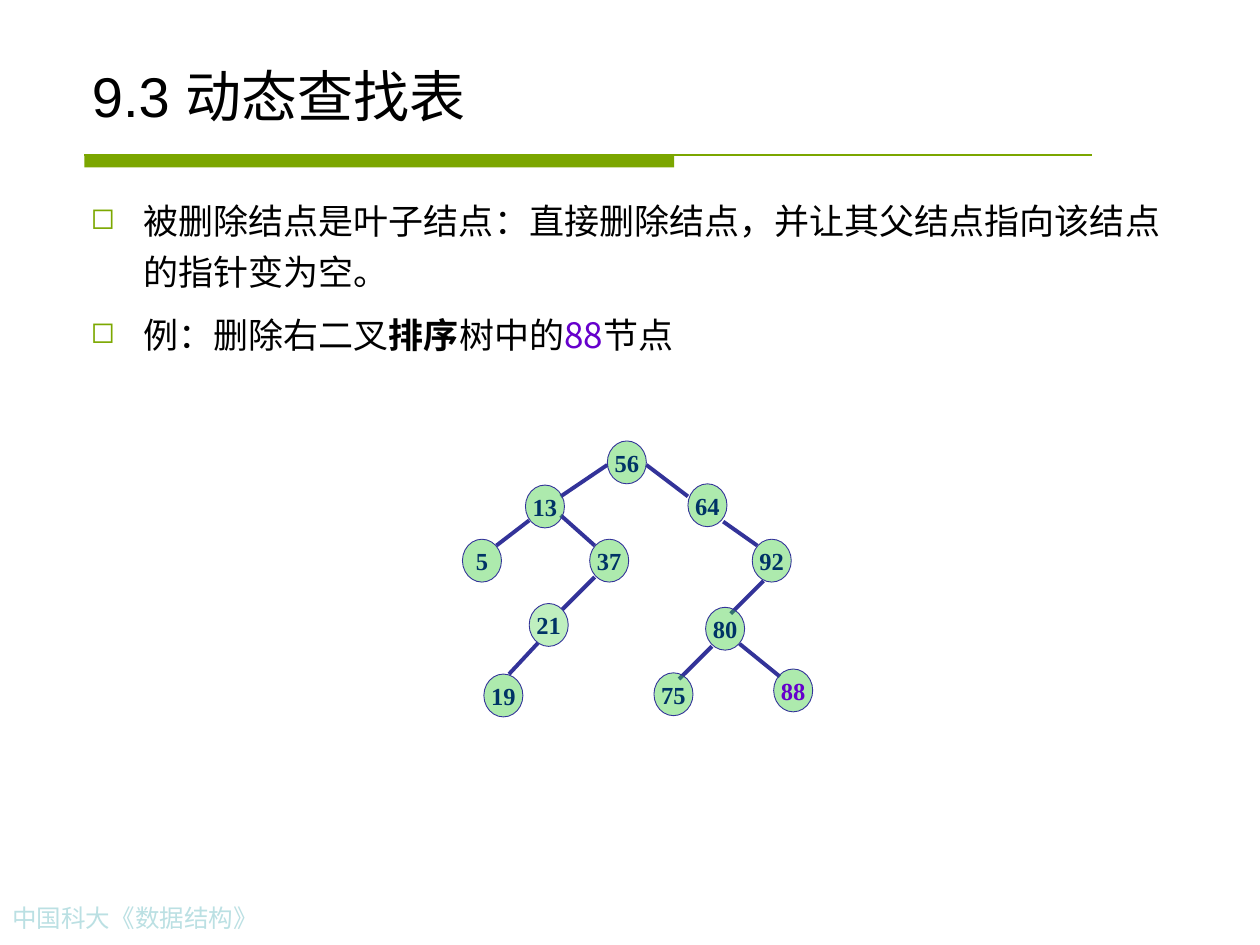
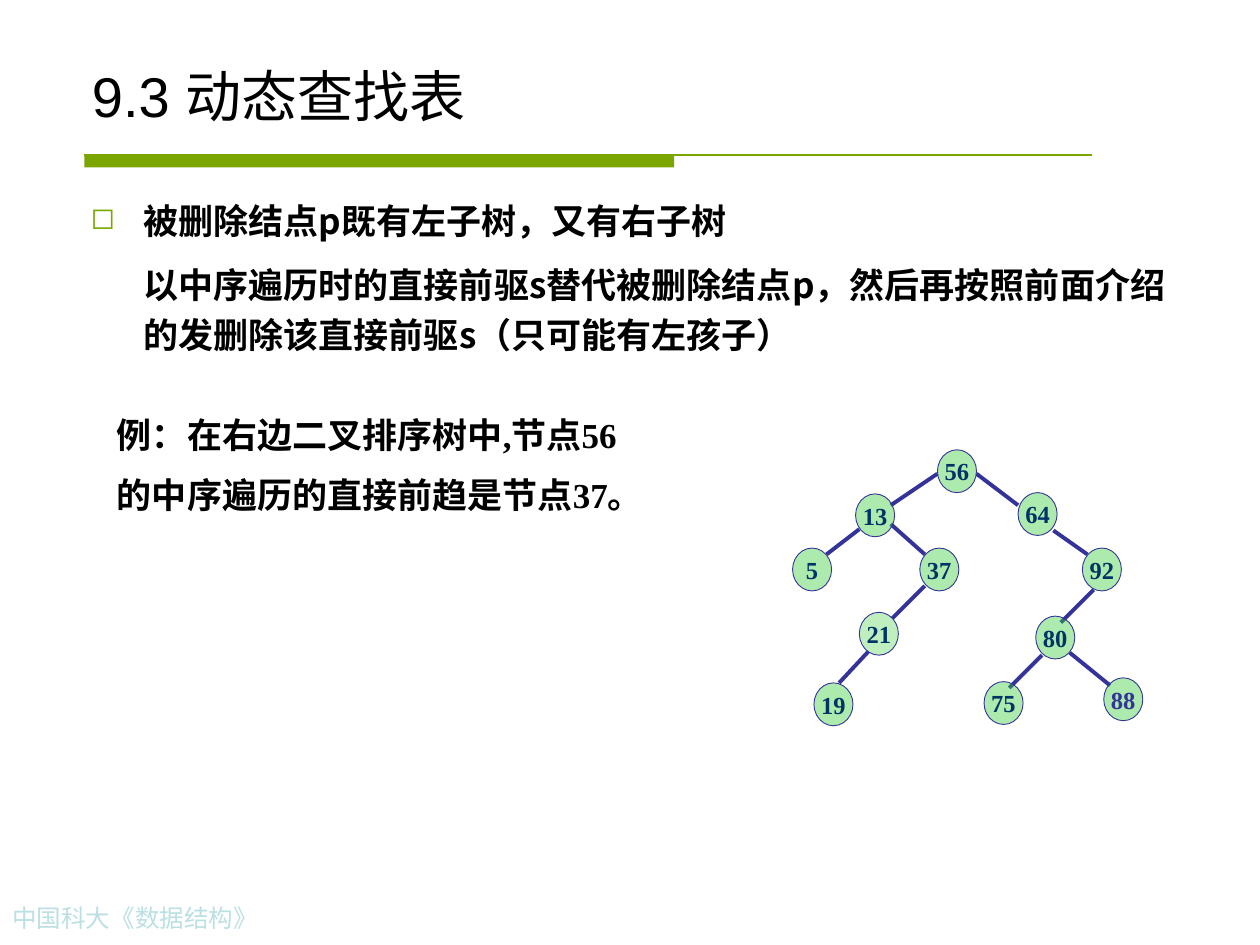
from lxml import etree
from pptx import Presentation
from pptx import util as u
from pptx.dml.color import RGBColor
from pptx.enum import shapes, text
from pptx.oxml import ns

COLOURS = {
    "black": "000000", "band": "7BA600", "bullet": "7CA800", "footer": "BBE0E3",
    "node": "33CC33", "pale node": "BFEFBF", "edge": "333399",
    "key": "003366", "purple": "6600CC",
}
CJK = "Noto Sans CJK SC"
NODE_WIDTH, NODE_HEIGHT = 0.31, 0.34

# Left and top of every key's node, and the ends of every edge
NODES = {
    "56": (4.82, 3.5), "64": (5.46, 3.84), "5": (3.67, 4.28), "92": (5.97, 4.28),
    "37": (4.68, 4.28), "88": (6.14, 5.31), "19": (3.84, 5.35), "80": (5.6, 4.82),
    "21": (4.2, 4.79), "13": (4.17, 3.85), "75": (5.19, 5.34),
}
EDGES = [
    (4.82, 3.69, 4.45, 3.94), (4.2, 4.13, 3.94, 4.33), (5.13, 3.69, 5.46, 3.94),
    (4.45, 4.09, 4.72, 4.33), (4.72, 4.58, 4.39, 4.91), (5.74, 4.14, 6.01, 4.33),
    (6.06, 4.61, 5.8, 4.87), (4.31, 5.06, 4.04, 5.35), (5.65, 5.13, 5.39, 5.39),
    (5.87, 5.11, 6.19, 5.37),
]

# Text boxes hold paragraphs; a paragraph is a list of (text, format changes)
PAGES = [
    {
        "boxes": [
            {"at": (0.62, 1.47, 8.75, 5.43), "bullets": 2, "before": 7.5,
             "format": {"font": CJK},
             "paragraphs": [
                 [("被删除结点是叶子结点：直接删除结点，并让其父结点指向该结点的指针变为空。", {})],
                 [("例：删除右二叉", {}), ("排序", {"font": "Arial", "bold": True}),
                  ("树中的", {}), ("88", {"colour": "purple"}), ("节点", {})],
             ]},
        ],
        "tree offset": (0, 0), "88 colour": "purple",
    },
    {
        "boxes": [
            {"at": (0.62, 1.47, 8.75, 1.62), "bullets": 1, "before": 7.5,
             "format": {"font": CJK, "bold": True},
             "paragraphs": [
                 [("被删除结点p既有左子树，又有右子树", {})],
                 [("以中序遍历时的直接前驱s替代被删除结点p，然后再按照前面介绍的发删除该直接前驱s（只可能有左孩子）", {})],
             ]},
            {"at": (0.83, 3.17, 4.42, 0.97), "bullets": 0, "before": 5,
             "format": {"font": "Times New Roman", "bold": True},
             "paragraphs": [
                 [("例：在右边二叉排序树中,节点56", {})],
                 [("的中序遍历的直接前趋是节点37。", {})],
             ]},
        ],
        "tree offset": (2.62, 0.07), "88 colour": "edge",
    },
]


def rgb(name):
    return RGBColor.from_string(COLOURS[name])


def add_span(para, words, size=20, font="Arial", colour="black", bold=False):
    """Append a run, with one font for Latin and the CJK font for Chinese."""
    span = para.add_run()
    span.text = words
    span.font.size = u.Pt(size)
    span.font.name = font
    span.font.bold = bold
    span.font.color.rgb = rgb(colour)
    latin = span.font._element.find(ns.qn("a:latin"))
    east_asian = etree.Element(ns.qn("a:ea"), typeface=CJK)
    latin.addnext(east_asian)


deck = Presentation()
deck.slide_width, deck.slide_height = u.Inches(10), u.Inches(7.5)

for content in PAGES:
    page = deck.slides.add_slide(deck.slide_layouts[5])

    # Title, green band and footer
    title = page.shapes.title
    title.left, title.top = u.Inches(0.63), u.Inches(0.33)
    title.width, title.height = u.Inches(8.75), u.Inches(0.74)
    frame = title.text_frame
    frame.auto_size = text.MSO_AUTO_SIZE.NONE
    frame.vertical_anchor = text.MSO_ANCHOR.BOTTOM
    frame.paragraphs[0].alignment = text.PP_ALIGN.LEFT
    add_span(frame.paragraphs[0], "9.3 动态查找表", size=32)

    band = page.shapes.add_shape(shapes.MSO_SHAPE.RECTANGLE, u.Inches(0.67),
                                 u.Inches(1.23), u.Inches(4.68), u.Inches(0.1))
    band.shadow.inherit = False
    band.fill.solid()
    band.fill.fore_color.rgb = rgb("band")
    band.line.fill.background()

    footer = page.shapes.add_textbox(u.Inches(0), u.Inches(7.12),
                                     u.Inches(3.11), u.Inches(0.34))
    footer.text_frame.word_wrap = True
    add_span(footer.text_frame.paragraphs[0], "中国科大《数据结构》", size=14,
             font="Times New Roman", colour="footer")

    for block in content["boxes"]:
        box = page.shapes.add_textbox(*map(u.Inches, block["at"]))
        frame = box.text_frame
        frame.word_wrap = True
        for index, spans in enumerate(block["paragraphs"]):
            para = frame.paragraphs[0] if index == 0 else frame.add_paragraph()
            para.line_spacing = 1.2
            para.space_before = u.Pt(block["before"] if index else 0)
            properties = para._p.get_or_add_pPr()
            if block["bullets"]:
                properties.set("marL", str(u.Inches(0.42)))
            if index < block["bullets"]:
                properties.set("indent", str(u.Inches(-0.42)))
                bullet_colour = etree.SubElement(properties, ns.qn("a:buClr"))
                etree.SubElement(bullet_colour, ns.qn("a:srgbClr"), val=COLOURS["bullet"])
                etree.SubElement(properties, ns.qn("a:buSzPct"), val="85000")
                etree.SubElement(properties, ns.qn("a:buChar"), char="◻")
            for words, changes in spans:
                add_span(para, words, **{**block["format"], **changes})

    # Rule beside the band, then the tree's edges
    shift_x, shift_y = content["tree offset"]
    lines = [((0.67, 1.23, 8.67, 1.23), "band", 0.75)]
    for x1, y1, x2, y2 in EDGES:
        ends = (x1 + shift_x, y1 + shift_y, x2 + shift_x, y2 + shift_y)
        lines.append((ends, "edge", 2.25))
    for ends, colour, weight in lines:
        line = page.shapes.add_connector(shapes.MSO_CONNECTOR.STRAIGHT,
                                         *map(u.Inches, ends))
        line.line.color.rgb = rgb(colour)
        line.line.width = u.Pt(weight)
        etree.SubElement(line._element.spPr, ns.qn("a:effectLst"))

    for key, (left, top) in NODES.items():
        node = page.shapes.add_shape(
            shapes.MSO_SHAPE.OVAL, u.Inches(left + shift_x), u.Inches(top + shift_y),
            u.Inches(NODE_WIDTH), u.Inches(NODE_HEIGHT))
        node.shadow.inherit = False
        node.fill.solid()
        node.fill.fore_color.rgb = rgb("pale node" if key == "21" else "node")
        if key != "21":
            fill_colour = node._element.spPr.find(".//" + ns.qn("a:srgbClr"))
            etree.SubElement(fill_colour, ns.qn("a:alpha"), val="40000")
        node.line.color.rgb = rgb("edge")
        node.line.width = u.Pt(0.5)
        frame = node.text_frame
        frame.word_wrap = False
        frame.vertical_anchor = text.MSO_ANCHOR.MIDDLE
        frame.paragraphs[0].alignment = text.PP_ALIGN.CENTER
        add_span(frame.paragraphs[0], key, size=14, font="Times New Roman", bold=True,
                 colour=content["88 colour"] if key == "88" else "key")

deck.save("out.pptx")
